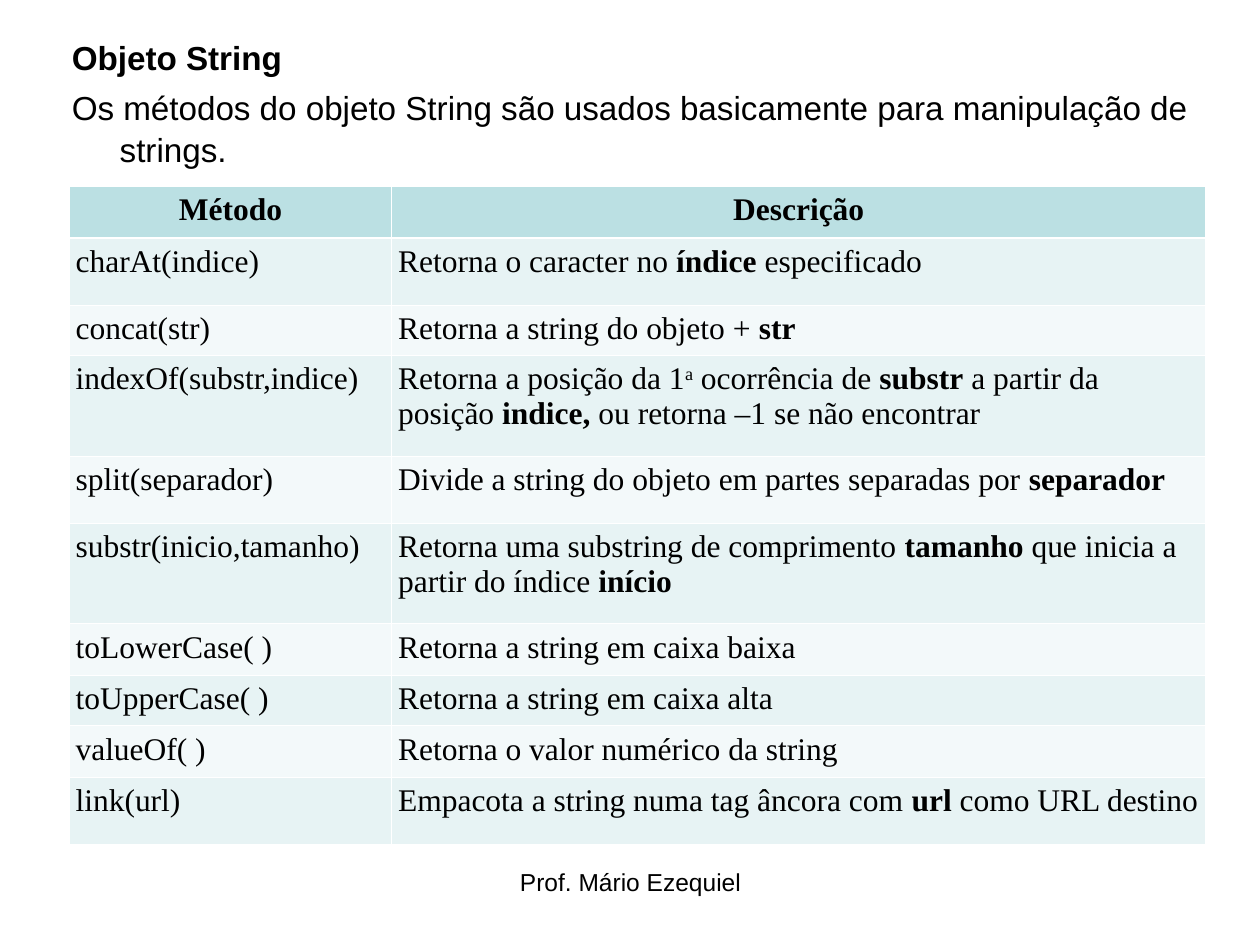
"""Build a slide that lists the methods of the String object in a table."""
from lxml.etree import SubElement
from pptx import Presentation
from pptx.dml.color import RGBColor
from pptx.enum.text import MSO_ANCHOR, MSO_AUTO_SIZE, PP_ALIGN
from pptx.oxml import parse_xml
from pptx.oxml.ns import nsdecls, qn
from pptx.util import Inches, Pt


def tint(value):
    """Return the colour of a hex string."""
    return RGBColor.from_string(value)


def write(para, text, size=18, face="Times New Roman", bold=False, align=PP_ALIGN.LEFT):
    """Write text where *stars* switch bold and ^carets^ switch superscript."""
    para.alignment = align
    for i, part in enumerate(text.split("*")):
        for j, piece in enumerate(part.split("^")):
            if not piece:
                continue
            run = para.add_run()
            run.text = piece
            run.font.size = Pt(size)
            run.font.name = face
            run.font.bold = bold or i % 2 == 1
            run.font.color.rgb = tint("000000")
            if j % 2:
                run._r.get_or_add_rPr().set("baseline", "30000")


deck = Presentation()
deck.slide_width, deck.slide_height = Inches(10), Inches(7.5)
slide = deck.slides.add_slide(deck.slide_layouts[1])
title = slide.shapes.title._element
title.getparent().remove(title)

foot = slide.shapes.add_textbox(Inches(3.42), Inches(6.83), Inches(3.17), Inches(0.52))
foot.text_frame.word_wrap = True
write(foot.text_frame.paragraphs[0], "Prof. Mário Ezequiel", size=14, face="Arial",
      align=PP_ALIGN.CENTER)

body = slide.placeholders[1]
body.left, body.top = Inches(0.47), Inches(0.23)
body.width, body.height = Inches(9.3), Inches(6.48)
frame = body.text_frame
frame.auto_size = MSO_AUTO_SIZE.NONE
frame.vertical_anchor = MSO_ANCHOR.TOP
intro = [
    ("Objeto String", True),
    ("Os métodos do objeto String são usados basicamente para manipulação de strings.", False),
]
for n, (text, bold) in enumerate(intro):
    para = frame.add_paragraph() if n else frame.paragraphs[0]
    write(para, text, size=19, face="Arial", bold=bold)
    para.space_before = Pt(4.8)
    para.line_spacing = 1.05
    props = para._p.get_or_add_pPr()
    props.set("marL", str(Inches(0.38)))
    props.set("indent", str(-Inches(0.38)))
    SubElement(props, qn("a:buNone"))

rows = [
    ("Método", "Descrição", 0.41),
    ("charAt(indice)", "Retorna o caracter no *índice* especificado", 0.53),
    ("concat(str)", "Retorna a string do objeto + *str*", 0.4),
    ("indexOf(substr,indice)",
     "Retorna a posição da 1^a^ ocorrência de *substr* a partir da posição *indice,*"
     " ou retorna –1 se não encontrar", 0.8),
    ("split(separador)", "Divide a string do objeto em partes separadas por *separador*", 0.53),
    ("substr(inicio,tamanho)",
     "Retorna uma substring de comprimento *tamanho* que inicia a partir do índice *início*", 0.8),
    ("toLowerCase( )", "Retorna a string em caixa baixa", 0.41),
    ("toUpperCase( )", "Retorna a string em caixa alta", 0.4),
    ("valueOf( )", "Retorna o valor numérico da string", 0.41),
    ("link(url)", "Empacota a string numa tag âncora com *url* como URL destino", 0.53),
]
grid = slide.shapes.add_table(len(rows), 2, Inches(0.55), Inches(1.48),
                              Inches(9.02), Inches(5.23)).table
grid.columns[0].width, grid.columns[1].width = Inches(2.56), Inches(6.46)
for r, (*texts, high) in enumerate(rows):
    grid.rows[r].height = Inches(high)
    head = r == 0
    for c, text in enumerate(texts):
        cell = grid.cell(r, c)
        cell.margin_left = cell.margin_right = Inches(0.05)
        cell.margin_top = cell.margin_bottom = Inches(0.05)
        cell.fill.solid()
        cell.fill.fore_color.rgb = tint("BBE0E3" if head else "E7F3F4" if r % 2 else "F3F9FA")
        write(cell.text_frame.paragraphs[0], text, bold=head,
              align=PP_ALIGN.CENTER if head else PP_ALIGN.LEFT)
        for n, side in enumerate("LRTB"):
            thick = (r, side) in ((0, "B"), (1, "T"))
            edge = parse_xml(
                f'<a:ln{side} {nsdecls("a")} w="{Pt(1.47 if thick else 0.45)}"><a:solidFill>'
                f'<a:srgbClr val="FFFFFF"/></a:solidFill></a:ln{side}>')
            cell._tc.get_or_add_tcPr().insert(n, edge)

deck.save("out.pptx")
